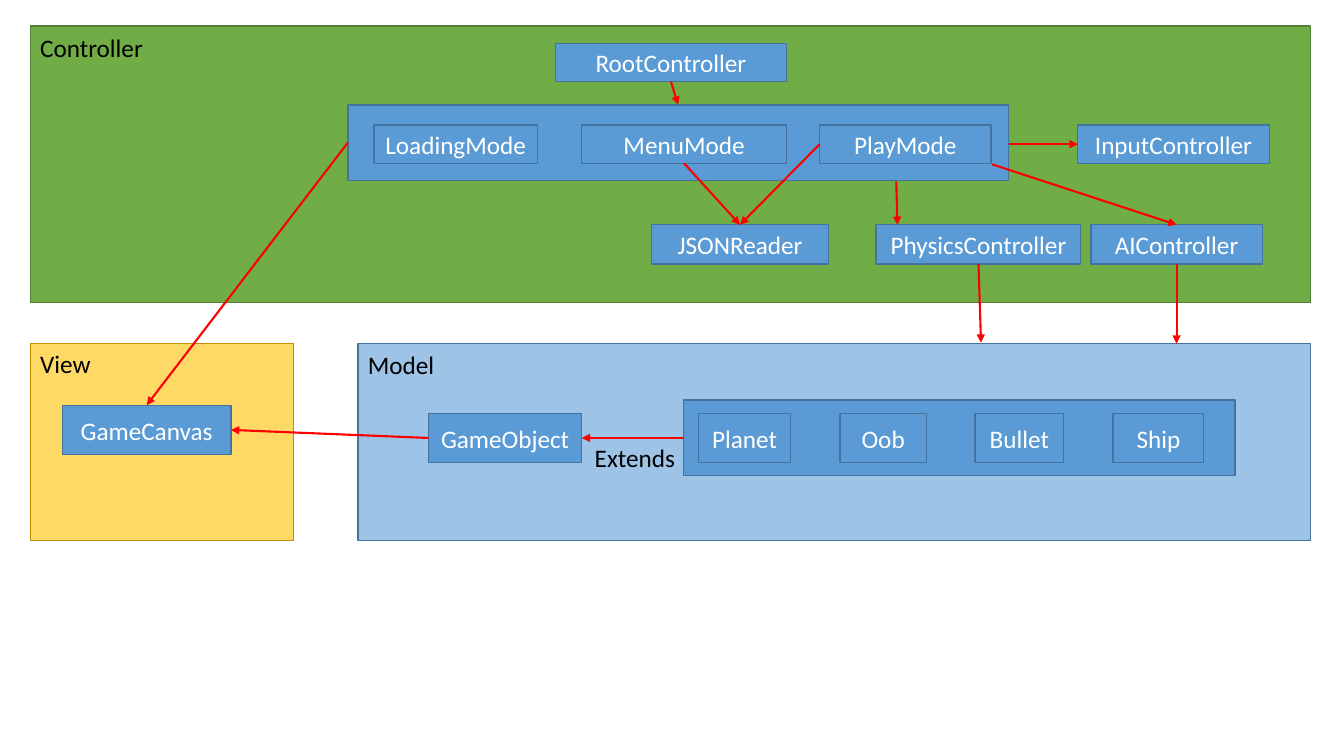
"""Builds a one-page model-view-controller architecture diagram."""
import pptx
import pptx.dml.color
import pptx.enum.shapes
import pptx.enum.text
import pptx.oxml
import pptx.oxml.ns
import pptx.util

Color = pptx.dml.color.RGBColor
Inches = pptx.util.Inches
Pt = pptx.util.Pt

BLUE, BLUE_EDGE = Color(0x5B, 0x9B, 0xD5), Color(0x43, 0x73, 0x9E)
GREEN, GREEN_EDGE = Color(0x70, 0xAD, 0x47), Color(0x53, 0x80, 0x35)
GOLD, GOLD_EDGE = Color(0xFF, 0xD9, 0x66), Color(0xBD, 0x8E, 0x00)
PALE_BLUE = Color(0x9D, 0xC3, 0xE6)
RED = Color(0xFF, 0x00, 0x00)
WHITE, BLACK = Color(0xFF, 0xFF, 0xFF), Color(0x00, 0x00, 0x00)

TOP, LEFT, BOTTOM, RIGHT = range(4)

PANELS = {
    "View": (0.3, 3.41, 2.61, 1.95, GOLD, GOLD_EDGE),
    "Model": (3.55, 3.41, 9.45, 1.95, PALE_BLUE, BLUE_EDGE),
    "Entities": (6.78, 3.97, 5.47, 0.75, BLUE, BLUE_EDGE),
    "Controller": (0.3, 0.26, 12.7, 2.74, GREEN, GREEN_EDGE),
    "Modes": (3.45, 1.04, 6.55, 0.75, BLUE, BLUE_EDGE),
}

BOX_ROWS = [
    (0.43, 0.38, [("RootController", 5.51, 2.29)]),
    (1.24, 0.38, [("LoadingMode", 3.71, 1.62), ("MenuMode", 5.77, 2.03),
                  ("PlayMode", 8.13, 1.7), ("InputController", 10.69, 1.9)]),
    (2.23, 0.39, [("JSONReader", 6.46, 1.76), ("PhysicsController", 8.69, 2.03),
                  ("AIController", 10.82, 1.7)]),
    (4.02, 0.49, [("GameCanvas", 0.62, 1.67)]),
    (4.1, 0.49, [("GameObject", 4.25, 1.52), ("Planet", 6.93, 0.91),
                 ("Oob", 8.33, 0.86), ("Bullet", 9.67, 0.88), ("Ship", 11.04, 0.9)]),
]

LABELS = [
    ("Controller", 0.3, 0.27, 1.23),
    ("Model", 3.55, 3.42, 0.87),
    ("View", 0.3, 3.41, 0.71),
    ("Extends", 5.8, 4.34, 1.01),
]

ARROWS = [
    (("RootController", BOTTOM), ("Modes", TOP)),
    ((9.84, 1.63), ("AIController", TOP)),
    ((8.89, 1.8), (8.9, 2.23)),
    ((10.01, 1.43), ("InputController", LEFT)),
    (("MenuMode", BOTTOM), ("JSONReader", TOP)),
    (("PlayMode", LEFT), ("JSONReader", TOP)),
    (("AIController", BOTTOM), (11.67, 3.41)),
    (("PhysicsController", BOTTOM), (9.73, 3.4)),
    (("Entities", LEFT), ("GameObject", RIGHT)),
    (("GameObject", LEFT), ("GameCanvas", RIGHT)),
    (("Modes", LEFT), ("GameCanvas", TOP)),
]


def add_box(page, left, top, width, height, fill, edge):
    box = page.shapes.add_shape(pptx.enum.shapes.MSO_SHAPE.RECTANGLE,
                                *map(Inches, (left, top, width, height)))
    box.shadow.inherit = False
    box.fill.solid()
    box.fill.fore_color.rgb = fill
    box.line.color.rgb = edge
    box.line.width = Pt(1)
    return box


def write(shape, text, color, alignment):
    para = shape.text_frame.paragraphs[0]
    para.text = text
    para.alignment = alignment
    para.font.name = "Calibri"
    para.font.size = Pt(18)
    para.font.color.rgb = color


def add_arrow(page, start, end, boxes):
    arrow = page.shapes.add_connector(pptx.enum.shapes.MSO_CONNECTOR.STRAIGHT, 0, 0, 0, 0)
    if start[0] in boxes:
        arrow.begin_connect(boxes[start[0]], start[1])
    else:
        arrow.begin_x, arrow.begin_y = map(Inches, start)
    if end[0] in boxes:
        arrow.end_connect(boxes[end[0]], end[1])
    else:
        arrow.end_x, arrow.end_y = map(Inches, end)
    arrow.line.color.rgb = RED
    arrow.line.width = Pt(1.5)
    head = pptx.oxml.parse_xml(
        '<a:tailEnd %s type="triangle"/>' % pptx.oxml.ns.nsdecls("a"))
    arrow.line._get_or_add_ln().append(head)
    arrow._element.spPr.append(pptx.oxml.parse_xml(
        "<a:effectLst %s/>" % pptx.oxml.ns.nsdecls("a")))


deck = pptx.Presentation()
deck.slide_width, deck.slide_height = Inches(13.33), Inches(7.5)
page = deck.slides.add_slide(deck.slide_layouts[6])

boxes = {name: add_box(page, *panel) for name, panel in PANELS.items()}
for top, height, row in BOX_ROWS:
    for name, left, width in row:
        boxes[name] = add_box(page, left, top, width, height, BLUE, BLUE_EDGE)
        boxes[name].text_frame.vertical_anchor = pptx.enum.text.MSO_ANCHOR.MIDDLE
        write(boxes[name], name, WHITE, pptx.enum.text.PP_ALIGN.CENTER)

for text, left, top, width in LABELS:
    label = page.shapes.add_textbox(*map(Inches, (left, top, width, 0.4)))
    label.text_frame.word_wrap = False
    label.text_frame.auto_size = pptx.enum.text.MSO_AUTO_SIZE.SHAPE_TO_FIT_TEXT
    write(label, text, BLACK, pptx.enum.text.PP_ALIGN.LEFT)

for start, end in ARROWS:
    add_arrow(page, start, end, boxes)

deck.save("out.pptx")
